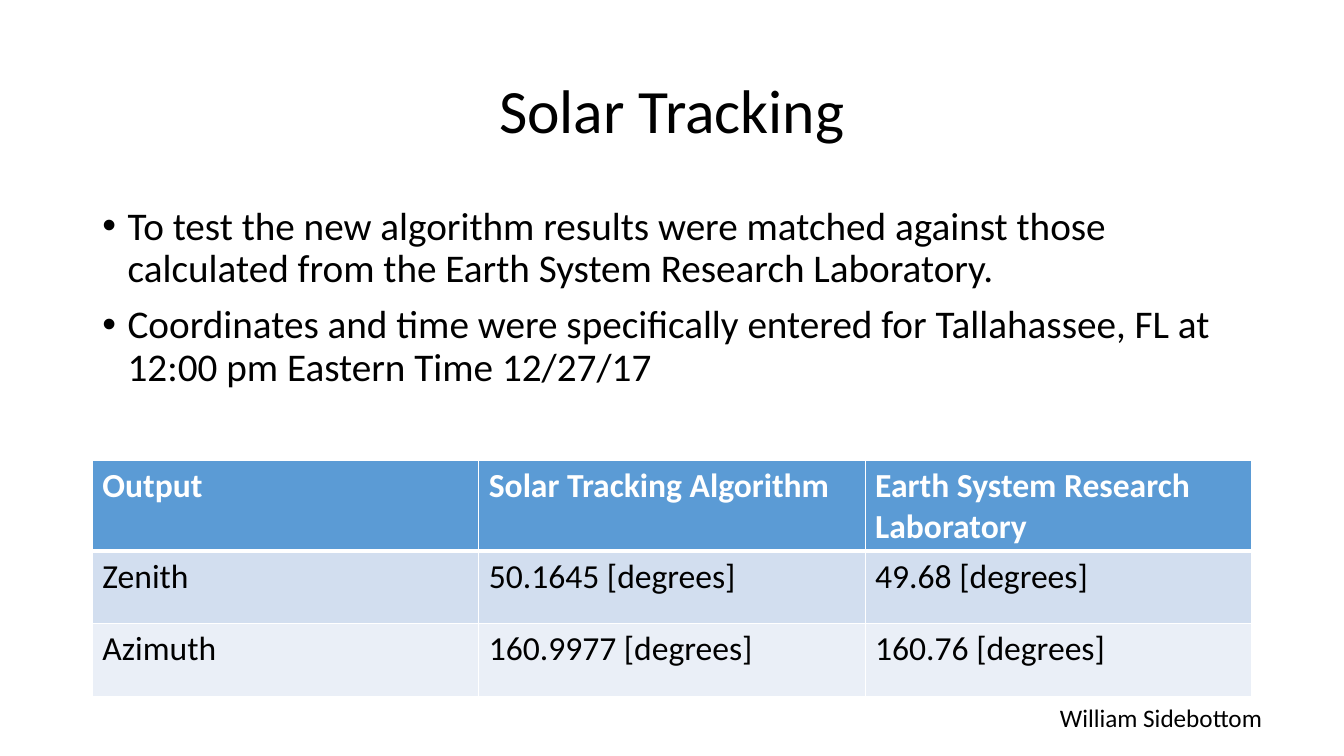
from lxml import etree
from pptx import Presentation
from pptx.dml.color import RGBColor
from pptx.enum.text import MSO_ANCHOR, MSO_AUTO_SIZE, PP_ALIGN
from pptx.oxml.ns import qn
from pptx.util import Pt

LEFT, CENTER = PP_ALIGN.LEFT, PP_ALIGN.CENTER
TOP, MIDDLE = MSO_ANCHOR.TOP, MSO_ANCHOR.MIDDLE
NO_AUTOFIT = MSO_AUTO_SIZE.NONE

COLORS = {
    "text": "000000",
    "white": "FFFFFF",
    "header": "5B9BD5",
    "band_dark": "D2DEEF",
    "band_light": "EAEFF7",
}
FONT = "Calibri"
MARGIN, CONTENT_WIDTH = 66, 828
ROW_HEIGHT = 51.84

FINDINGS = [
    "To test the new algorithm results were matched against those calculated "
    "from the Earth System Research Laboratory.",
    "Coordinates and time were specifically entered for Tallahassee, FL at "
    "12:00 pm Eastern Time 12/27/17",
]
RESULTS = [
    ["Output", "Solar Tracking Algorithm", "Earth System Research Laboratory"],
    ["Zenith", "50.1645 [degrees]", "49.68 [degrees]"],
    ["Azimuth", "160.9977 [degrees]", "160.76 [degrees]"],
]
ROW_FILLS = ["header", "band_dark", "band_light"]


def add_bullet(paragraph):
    """Give a paragraph a round bullet with a hanging indent."""
    properties = paragraph._p.get_or_add_pPr()
    properties.set("marL", str(Pt(18)))
    properties.set("indent", str(-Pt(18)))
    etree.SubElement(properties, qn("a:buFont"), typeface="Arial")
    etree.SubElement(properties, qn("a:buChar"), char="•")


def write_text(frame, lines, size, color="text", bold=False, align=LEFT,
               line_spacing=1.0, gap=0, bullets=False):
    """Fill a text frame with one formatted paragraph per line."""
    for index, line in enumerate(lines):
        paragraph = frame.add_paragraph() if index else frame.paragraphs[0]
        if bullets:
            add_bullet(paragraph)
        paragraph.alignment = align
        paragraph.line_spacing = line_spacing
        paragraph.space_before = Pt(gap if index else 0)
        run = paragraph.add_run()
        run.text = line
        run.font.name = FONT
        run.font.size = Pt(size)
        run.font.bold = bold
        run.font.color.rgb = RGBColor.from_string(COLORS[color])


def fill_placeholder(placeholder, top, height, anchor, lines, **text_format):
    """Place a template placeholder across the content width and write in it."""
    placeholder.left, placeholder.top = Pt(MARGIN), Pt(top)
    placeholder.width, placeholder.height = Pt(CONTENT_WIDTH), Pt(height)
    frame = placeholder.text_frame
    frame.auto_size = NO_AUTOFIT
    frame.vertical_anchor = anchor
    write_text(frame, lines, line_spacing=0.9, **text_format)


def add_author(slide, author):
    """Add the author's name at the bottom right."""
    author_box = slide.shapes.add_textbox(Pt(750), Pt(498.3), Pt(187), Pt(29))
    author_box.text_frame.word_wrap = True
    write_text(author_box.text_frame, [author], size=18)


def set_borders(cell, top_width, bottom_width):
    """Draw white borders around a table cell."""
    properties = cell._tc.get_or_add_tcPr()
    widths = {"lnL": 1, "lnR": 1, "lnT": top_width, "lnB": bottom_width}
    for side, width in widths.items():
        border = etree.SubElement(properties, qn(f"a:{side}"), w=str(Pt(width)))
        fill = etree.SubElement(border, qn("a:solidFill"))
        etree.SubElement(fill, qn("a:srgbClr"), val=COLORS["white"])


def add_results_table(slide):
    """Add the table comparing the two sets of solar angles."""
    rows, columns = len(RESULTS), len(RESULTS[0])
    table = slide.shapes.add_table(
        rows, columns, Pt(MARGIN), Pt(329), Pt(CONTENT_WIDTH),
        Pt(rows * ROW_HEIGHT)).table
    for row, values in enumerate(RESULTS):
        table.rows[row].height = Pt(ROW_HEIGHT)
        is_header = row == 0
        for column, value in enumerate(values):
            cell = table.cell(row, column)
            set_borders(cell, 3 if row == 1 else 1, 3 if is_header else 1)
            cell.fill.solid()
            cell.fill.fore_color.rgb = RGBColor.from_string(COLORS[ROW_FILLS[row]])
            write_text(cell.text_frame, [value], size=24, bold=is_header,
                       color="white" if is_header else "text")


def main():
    """Build and save the solar tracking slide."""
    presentation = Presentation()
    presentation.slide_width, presentation.slide_height = Pt(960), Pt(540)
    slide = presentation.slides.add_slide(presentation.slide_layouts[1])
    fill_placeholder(slide.shapes.title, 28.75, 104.4, MIDDLE,
                     ["Solar Tracking"], size=44, align=CENTER)
    fill_placeholder(slide.placeholders[1], 143.75, 175, TOP,
                     FINDINGS, size=28, gap=10, bullets=True)
    add_author(slide, "William Sidebottom")
    add_results_table(slide)
    presentation.save("out.pptx")


if __name__ == "__main__":
    main()
